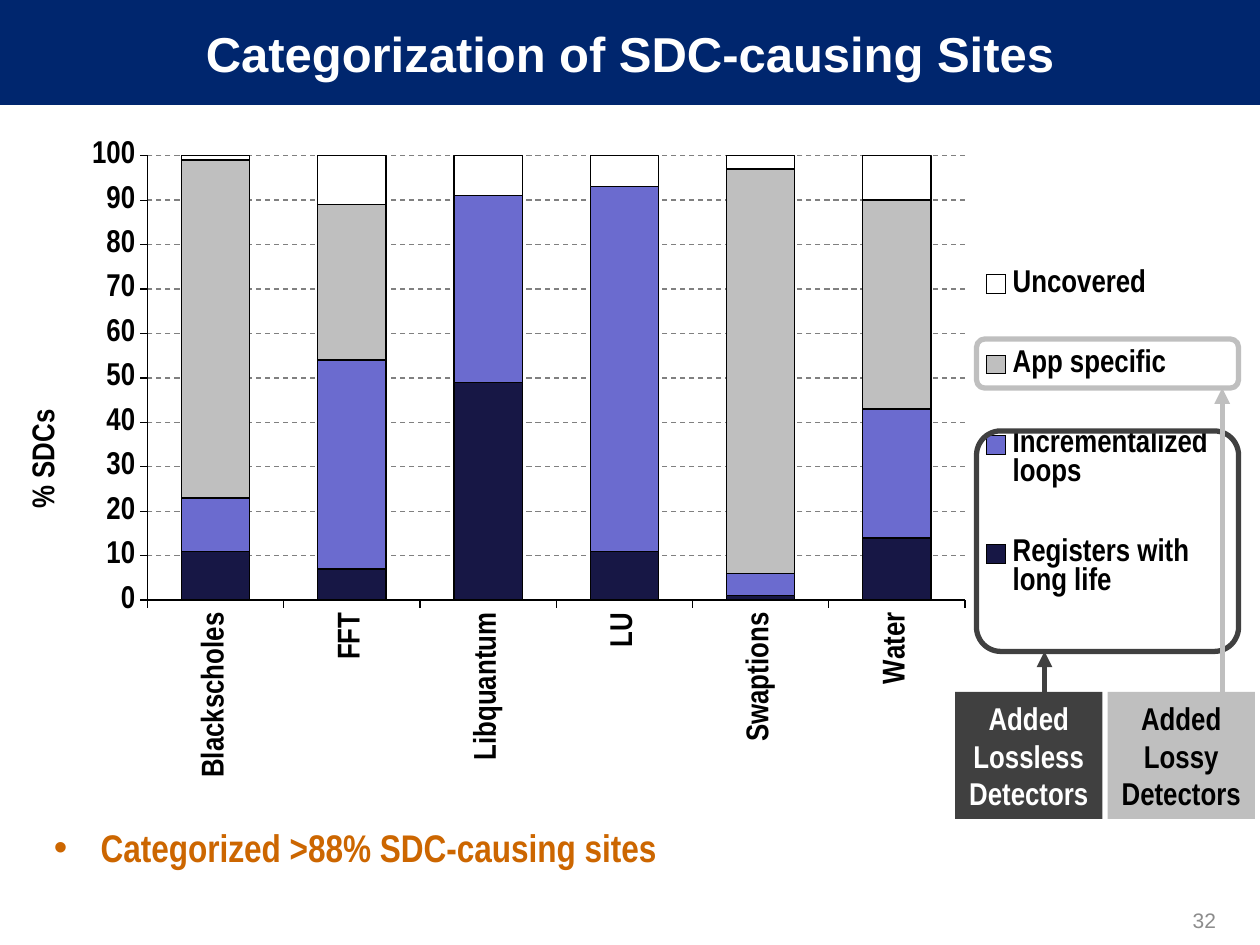
from lxml import etree
from pptx import Presentation
from pptx import util as u
from pptx.chart.data import CategoryChartData
from pptx.dml.color import RGBColor
from pptx.enum import chart as ch, dml, shapes, text
from pptx.oxml import parse_xml
from pptx.oxml.ns import qn

W, H = 10, 7.5
NARROW = "Arial Narrow"
DARK, LIGHT = "404040", "BFBFBF"
CHART_NS = "http://schemas.openxmlformats.org/drawingml/2006/chart"
CATEGORIES = ["Blackscholes", "FFT", "Libquantum", "LU", "Swaptions", "Water"]
SERIES = [
    ("Registers with long life", "171745", (11, 7, 49, 11, 1, 14)),
    ("Incrementalized loops", "6B6BCF", (12, 47, 42, 82, 5, 29)),
    ("App specific", LIGHT, (76, 35, 0, 0, 91, 47)),
    ("Uncovered", "FFFFFF", (1, 11, 9, 7, 3, 10)),
]


def rgb(value):
    return RGBColor.from_string(value)


def inches(*values):
    return [u.Inches(v) for v in values]


def paint(target, color):
    target.fill.solid()
    target.fill.fore_color.rgb = rgb(color)


def outline(line, color, width):
    line.color.rgb = rgb(color)
    line.width = u.Pt(width)


def write(p, words, size, color, font="Arial", bold=True, align=None):
    p.alignment = align
    r = p.add_run()
    r.text = words
    r.font.name, r.font.size, r.font.bold = font, u.Pt(size), bold
    r.font.color.rgb = rgb(color)


def add_title(s, box):
    sp = s.shapes.title
    sp.left, sp.top, sp.width, sp.height = inches(*box)
    paint(sp, "00266E")
    tf = sp.text_frame
    tf.vertical_anchor = text.MSO_ANCHOR.MIDDLE
    write(tf.paragraphs[0], "Categorization of SDC-causing Sites", 28, "FFFFFF",
          align=text.PP_ALIGN.CENTER)


def add_text(s, box):
    tf = s.shapes.add_textbox(*inches(*box)).text_frame
    tf.word_wrap = True
    return tf


def add_bullet(s, box):
    p = add_text(s, box).paragraphs[0]
    p.line_spacing, p.space_before = 1.2, u.Pt(12.2)
    write(p, "Categorized >88% SDC-causing sites", 22, "CC6600", NARROW)
    pPr = p._p.get_or_add_pPr()
    indent = u.Inches(0.37)
    pPr.set("marL", str(indent))
    pPr.set("indent", str(-indent))
    etree.SubElement(pPr, qn("a:buFont")).set("typeface", "Arial")
    etree.SubElement(pPr, qn("a:buChar")).set("char", "•")


def add_number(s, box):
    tf = add_text(s, box)
    tf.vertical_anchor = text.MSO_ANCHOR.MIDDLE
    write(tf.paragraphs[0], "32", 12, "8C8C8C", bold=False, align=text.PP_ALIGN.RIGHT)


def set_layout(parent, before, x, y, w=None, h=None, inner=False):
    for old in parent.findall(qn("c:layout")):
        parent.remove(old)
    parts = [("layoutTarget", "inner")] if inner else []
    parts += [("xMode", "edge"), ("yMode", "edge"), ("x", x), ("y", y)]
    parts += [("w", w), ("h", h)] if w else []
    body = "".join(f'<c:{tag} val="{val}"/>' for tag, val in parts)
    layout = parse_xml(f'<c:layout xmlns:c="{CHART_NS}"><c:manualLayout>'
                       f'{body}</c:manualLayout></c:layout>')
    parent.find(qn(before)).addprevious(layout)


def add_sdc_chart(s, box):
    data = CategoryChartData()
    data.categories = CATEGORIES
    for name, _, values in SERIES:
        data.add_series(name, values)
    chart = s.shapes.add_chart(ch.XL_CHART_TYPE.COLUMN_STACKED, *inches(*box), data).chart
    chart.has_title = False
    font = chart.font
    font.name, font.size, font.bold = NARROW, u.Pt(18), True
    font.color.rgb = rgb("000000")

    plot = chart.plots[0]
    plot.gap_width, plot.overlap, plot.vary_by_categories = 100, 100, False
    for series, (_, color, _) in zip(plot.series, SERIES):
        paint(series.format, color)
        outline(series.format.line, "000000", 0.75)
        series.invert_if_negative = False

    for axis in (chart.category_axis, chart.value_axis):
        axis.major_tick_mark = ch.XL_TICK_MARK.OUTSIDE
        outline(axis.format.line, "000000", 0.75)
        axis.tick_labels.font.size = u.Pt(18)
    chart.category_axis._element.find(qn("c:txPr")).find(qn("a:bodyPr")).set("rot", "-5400000")

    values = chart.value_axis
    values.minimum_scale, values.maximum_scale, values.major_unit = 0, 100, 10
    grid = values.major_gridlines.format.line
    outline(grid, "808080", 0.75)
    grid.dash_style = dml.MSO_LINE.DASH
    write(values.axis_title.text_frame.paragraphs[0], "% SDCs", 18, "000000", NARROW)
    title = values.axis_title._element
    title.find(qn("c:tx")).find(qn("c:rich")).find(qn("a:bodyPr")).set("rot", "-5400000")
    set_layout(title, "c:overlay", 0.01, 0.42)

    chart.has_legend = True
    legend = chart.legend
    legend.position = ch.XL_LEGEND_POSITION.RIGHT
    legend.include_in_layout = False
    legend.font.size = u.Pt(18)
    set_layout(legend._element, "c:overlay", 0.77, 0.14, 0.2, 0.65)
    set_layout(chart._chartSpace.chart.plotArea, "c:barChart", 0.11, 0.045, 0.654, 0.672, True)


def add_callout(s, frame, radius, label, lines, arrow_x, color, ink):
    sp = s.shapes.add_shape(shapes.MSO_SHAPE.ROUNDED_RECTANGLE, *inches(*frame))
    sp.adjustments[0] = radius
    sp.shadow.inherit = False
    sp.fill.background()
    outline(sp.line, color, 3)

    sp = s.shapes.add_shape(shapes.MSO_SHAPE.RECTANGLE, *inches(*label))
    sp.shadow.inherit = False
    paint(sp, color)
    sp.line.fill.background()
    tf = sp.text_frame
    tf.word_wrap = True
    for i, words in enumerate(lines):
        p = tf.add_paragraph() if i else tf.paragraphs[0]
        write(p, words, 18, ink, NARROW, align=text.PP_ALIGN.CENTER)

    ends = inches(arrow_x, label[1], arrow_x, frame[1] + frame[3])
    arrow = s.shapes.add_connector(shapes.MSO_CONNECTOR.STRAIGHT, *ends)
    outline(arrow.line, color, 3)
    etree.SubElement(arrow.line._get_or_add_ln(), qn("a:tailEnd")).set("type", "triangle")
    etree.SubElement(arrow._element.spPr, qn("a:effectLst"))


def main():
    prs = Presentation()
    prs.slide_width, prs.slide_height = inches(W, H)
    s = prs.slides.add_slide(prs.slide_layouts[5])
    add_title(s, (0, 0, W, H / 9))
    add_bullet(s, (0.33, 6.42, 9.42, 0.67))
    add_number(s, (7.42, 7.1, 2.33, 0.4))
    add_sdc_chart(s, (0.08, 1, W - 0.08, 0.7 * H))
    add_callout(s, (7.75, 3.42, 2.08, 1.75), 0.11, (7.58, 5.49, 1.17, 1.01),
                ["Added Lossless Detectors"], 8.29, DARK, "FFFFFF")
    add_callout(s, (7.75, 2.69, 2.08, 0.39), 0.17, (8.79, 5.49, 1.17, 1.01),
                ["Added Lossy", "Detectors"], 9.7, LIGHT, "000000")
    prs.save("out.pptx")


if __name__ == "__main__":
    main()
